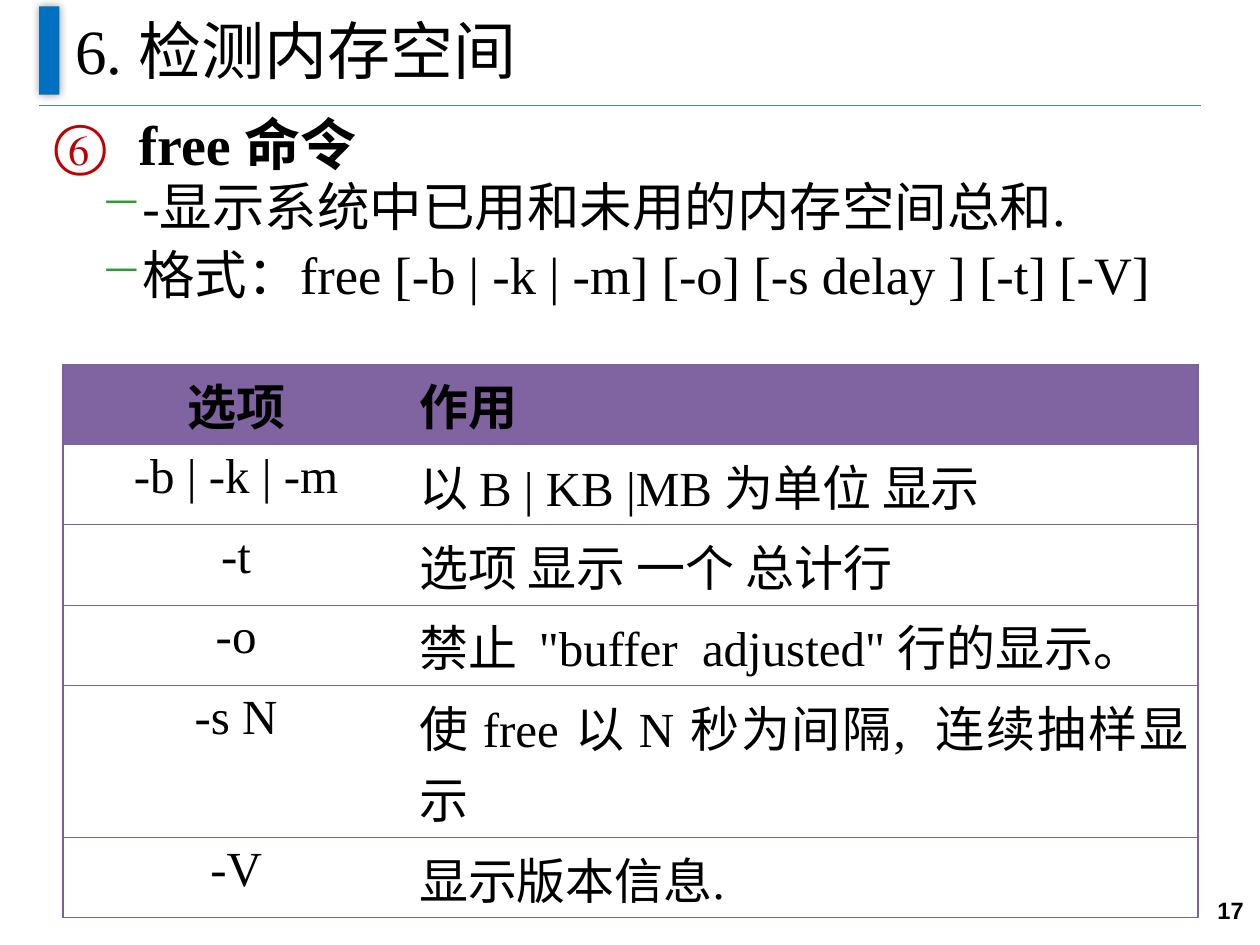
from lxml import etree
from pptx import Presentation, util as u
from pptx.dml.color import RGBColor
from pptx.enum import shapes, text
from pptx.oxml.ns import qn

COLORS = {
    "ink": "000000", "bar": "0070C0", "rule": "4B7EBC", "number": "C00000",
    "dash": "339933", "header": "8064A2", "border": "7D60A0", "paper": "FFFFFF",
}
SERIF, SANS = "Times New Roman", "Arial"
TITLE = "6. 检测内存空间"
PAGE_NUMBER = "17"
COMMAND = "free 命令"
DETAILS = [
    "-显示系统中已用和未用的内存空间总和.",
    "格式：free [-b | -k | -m] [-o] [-s delay ] [-t] [-V]",
]
OPTIONS = [
    ("选项", "作用"),
    ("-b | -k | -m", "以 B | KB |MB 为单位 显示"),
    ("-t", "选项 显示 一个 总计行"),
    ("-o", '禁止  "buffer  adjusted" 行的显示。'),
    ("-s N", "使 free 以 N 秒为间隔,  连续抽样显示"),
    ("-V", "显示版本信息."),
]
COLUMN_WIDTHS = (6.98, 15.9)
ROW_HEIGHT, TALL_ROW_HEIGHT, TALL_ROW = 1.62, 3.06, 4
ALIGN = text.PP_ALIGN


def rgb(name):
    return RGBColor.from_string(COLORS[name])


def add_color(parent, name):
    return etree.SubElement(parent, qn("a:srgbClr"), val=COLORS[name])


def style(paragraph, size, bold=False, align=ALIGN.LEFT, face=SERIF):
    paragraph.alignment = align
    font = paragraph.font
    font.name, font.size, font.bold = face, u.Pt(size), bold
    font.color.rgb = rgb("ink")


def add_text_frame(slide, left, top, width, height, anchor):
    box = slide.shapes.add_textbox(*map(u.Cm, (left, top, width, height)))
    frame = box.text_frame
    frame.word_wrap = True
    frame.vertical_anchor = anchor
    return frame


def set_bullet(paragraph, margin, hanging, color, tag, **attributes):
    properties = paragraph._p.get_or_add_pPr()
    properties.set("marL", str(u.Cm(margin)))
    properties.set("indent", str(-u.Cm(hanging)))
    add_color(etree.SubElement(properties, qn("a:buClr")), color)
    bullet = etree.SubElement(properties, qn(tag), **attributes)
    default_font = properties.find(qn("a:defRPr"))
    if default_font is not None:
        properties.remove(default_font)
        bullet.addnext(default_font)


def set_borders(cell, column):
    properties = cell._tc.get_or_add_tcPr()
    inner_side = "a:lnR" if column == 0 else "a:lnL"
    for position, side in enumerate(("a:lnL", "a:lnR", "a:lnT", "a:lnB")):
        line = etree.Element(qn(side), w=str(u.Pt(0.75)))
        if side == inner_side:
            etree.SubElement(line, qn("a:noFill"))
        else:
            add_color(etree.SubElement(line, qn("a:solidFill")), "border")
        properties.insert(position, line)


def add_heading(slide):
    rule = slide.shapes.add_connector(
        shapes.MSO_CONNECTOR.STRAIGHT, u.Cm(0.79), u.Cm(2.13), u.Cm(24.21), u.Cm(2.13))
    rule.line.color.rgb = rgb("rule")
    rule.line.width = u.Pt(0.75)
    etree.SubElement(rule._element.spPr, qn("a:effectLst"))

    bar = slide.shapes.add_shape(
        shapes.MSO_SHAPE.RECTANGLE, u.Cm(0.79), u.Cm(0.13), u.Cm(0.41), u.Cm(1.78))
    bar.fill.solid()
    bar.fill.fore_color.rgb = rgb("bar")
    bar.line.fill.background()
    bar.shadow.inherit = False
    effects = bar._element.spPr.find(qn("a:effectLst"))
    shadow = etree.SubElement(
        effects, qn("a:outerShdw"), blurRad=str(u.Pt(5)), dist="0", dir="0")
    etree.SubElement(add_color(shadow, "ink"), qn("a:alpha"), val="40000")

    frame = add_text_frame(slide, 1.27, -0.08, 22.86, 2.13, text.MSO_ANCHOR.MIDDLE)
    frame.text = TITLE
    style(frame.paragraphs[0], 36)


def add_body(slide):
    frame = add_text_frame(slide, 0.84, 2.31, 23.32, 16.1, text.MSO_ANCHOR.TOP)
    command = frame.paragraphs[0]
    for content, bold in ((" ", False), (COMMAND, True)):
        run = command.add_run()
        run.text = content
        run.font.bold = bold
        run.font.size = u.Pt(32)
        run.font.name = SERIF
        run.font.color.rgb = rgb("ink")
    command.alignment = ALIGN.JUSTIFY
    command.space_before = u.Pt(4.5)
    command.line_spacing = 0.83
    set_bullet(command, 1.42, 1.42, "number", "a:buAutoNum",
               type="circleNumDbPlain", startAt="6")
    for detail in DETAILS:
        paragraph = frame.add_paragraph()
        paragraph.text = detail
        paragraph.level = 1
        style(paragraph, 30, align=ALIGN.JUSTIFY)
        paragraph.space_before = paragraph.space_after = u.Pt(4.5)
        paragraph.line_spacing = 0.83
        set_bullet(paragraph, 1.68, 0.74, "dash", "a:buChar", char="─")


def add_options(slide):
    heights = [TALL_ROW_HEIGHT if row == TALL_ROW else ROW_HEIGHT
               for row in range(len(OPTIONS))]
    table = slide.shapes.add_table(
        len(OPTIONS), len(COLUMN_WIDTHS), u.Cm(1.27), u.Cm(7.34),
        u.Cm(sum(COLUMN_WIDTHS)), u.Cm(sum(heights))).table
    table.horz_banding = False
    for column, width in zip(table.columns, COLUMN_WIDTHS):
        column.width = u.Cm(width)
    for row, values in enumerate(OPTIONS):
        table.rows[row].height = u.Cm(heights[row])
        for column, value in enumerate(values):
            cell = table.cell(row, column)
            cell.text = value
            cell.margin_left = cell.margin_right = u.Cm(0.2)
            cell.margin_top = cell.margin_bottom = u.Cm(0.1)
            cell.fill.solid()
            cell.fill.fore_color.rgb = rgb("header" if row == 0 else "paper")
            style(cell.text_frame.paragraphs[0], 28, bold=row == 0,
                  align=ALIGN.JUSTIFY if column else ALIGN.CENTER)
            set_borders(cell, column)


def main():
    presentation = Presentation()
    presentation.slide_width, presentation.slide_height = u.Cm(25.4), u.Cm(19.05)
    slide = presentation.slides.add_slide(presentation.slide_layouts[6])
    add_heading(slide)
    add_body(slide)
    frame = add_text_frame(slide, 22.96, 17.65, 2.36, 1.4, text.MSO_ANCHOR.MIDDLE)
    frame.text = PAGE_NUMBER
    style(frame.paragraphs[0], 13.5, bold=True, align=ALIGN.RIGHT, face=SANS)
    add_options(slide)
    presentation.save("out.pptx")


if __name__ == "__main__":
    main()
